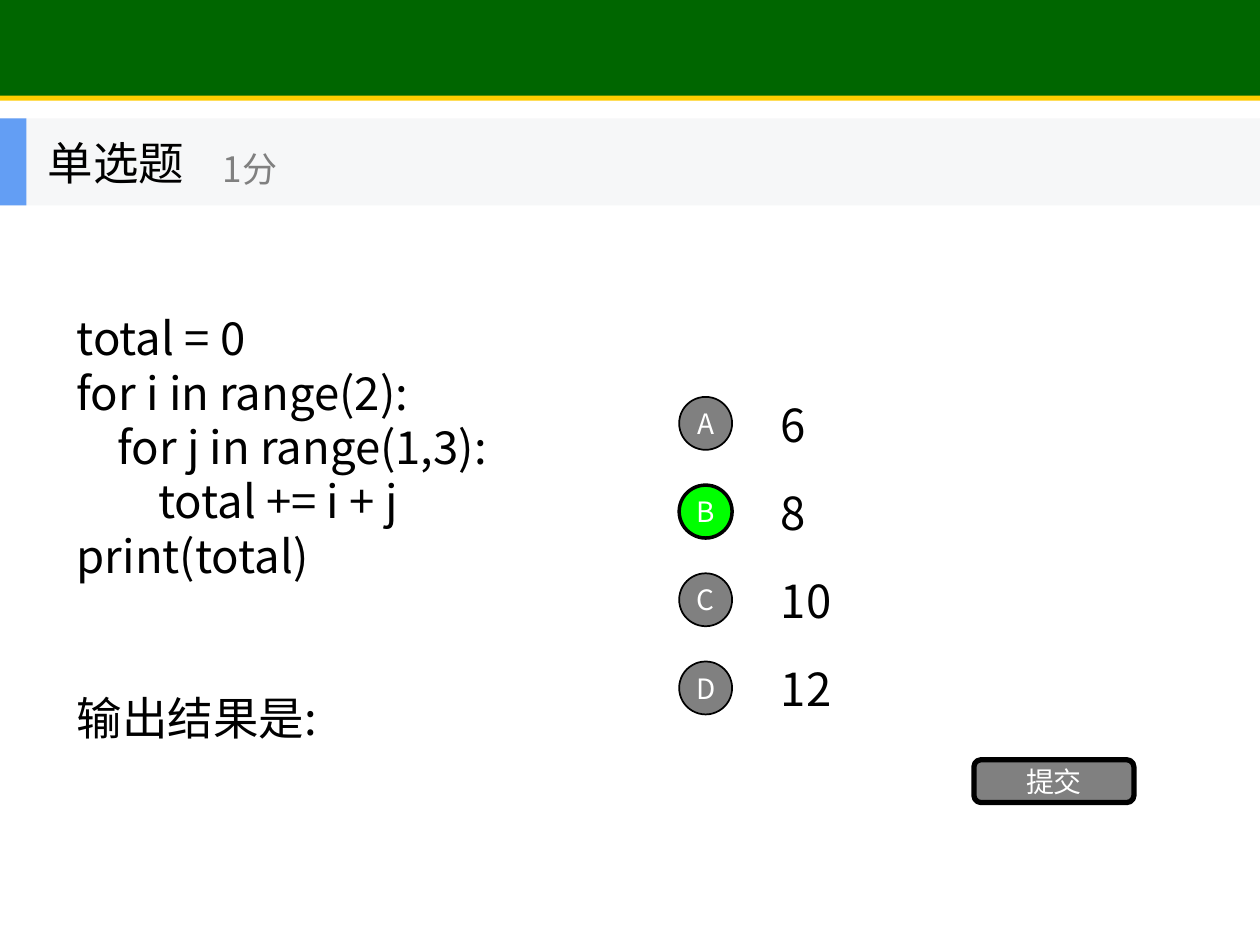
import dataclasses

import lxml.etree
import pptx
import pptx.dml.color
import pptx.enum.shapes
import pptx.enum.text
import pptx.oxml.ns
import pptx.util

Inches = pptx.util.Inches
Pt = pptx.util.Pt
Shape = pptx.enum.shapes.MSO_SHAPE
Align = pptx.enum.text.PP_ALIGN


@dataclasses.dataclass(frozen=True)
class Theme:
    font: str = "Noto Sans CJK SC"
    body: int = 26
    points: int = 20
    button: int = 16
    code_line: int = 31
    black: str = "000000"
    white: str = "FFFFFF"
    gray: str = "808080"
    correct: str = "00FF00"
    header: str = "006600"
    rule: str = "FFCC00"
    title_band: str = "F6F7F8"
    title_accent: str = "639EF4"


class QuizSlide:
    """Holds the theme and the current slide."""

    def __init__(self, theme, slide):
        self.theme = theme
        self.slide = slide

    def color(self, value):
        return pptx.dml.color.RGBColor.from_string(value)

    def fill_text(self, shape, lines, size, color, align=Align.LEFT, frame_format=None):
        frame = shape.text_frame
        frame_values = {
            "word_wrap": True,
            "vertical_anchor": pptx.enum.text.MSO_ANCHOR.MIDDLE,
            **(frame_format or {}),
        }
        for name, value in frame_values.items():
            setattr(frame, name, value)
        frame.text = "\n".join(lines)
        for paragraph in frame.paragraphs:
            paragraph.alignment = align
            for run in paragraph.runs:
                font_values = {"size": Pt(size), "name": self.theme.font}
                for name, value in font_values.items():
                    setattr(run.font, name, value)
                run.font.color.rgb = self.color(color)
                east_asian = lxml.etree.SubElement(
                    run.font._element, pptx.oxml.ns.qn("a:ea"))
                east_asian.set("typeface", self.theme.font)
        return frame

    def text(self, box, lines, size, color, frame_format=None):
        shape = self.slide.shapes.add_textbox(*map(Inches, box))
        return self.fill_text(shape, lines, size, color, frame_format=frame_format)

    def block(self, box, fill, kind=Shape.RECTANGLE):
        shape = self.slide.shapes.add_shape(kind, *map(Inches, box))
        shape.shadow.inherit = False
        shape.fill.solid()
        shape.fill.fore_color.rgb = self.color(fill)
        shape.line.fill.background()
        return shape

    def button(self, box, label, kind, fill, line_width):
        shape = self.block(box, fill, kind)
        shape.line.color.rgb = self.color(self.theme.black)
        shape.line.width = Pt(line_width)
        margins = ("margin_left", "margin_right", "margin_top", "margin_bottom")
        self.fill_text(shape, [label], self.theme.button, self.theme.white,
                       Align.CENTER, dict.fromkeys(margins, 0))


def main():
    theme = Theme()
    presentation = pptx.Presentation()
    presentation.slide_width = Inches(10)
    presentation.slide_height = Inches(7.5)
    slide = presentation.slides.add_slide(presentation.slide_layouts[6])
    quiz = QuizSlide(theme, slide)

    # Header
    quiz.block((0, 0, 10, 0.79), theme.header)
    quiz.block((0, 0.76, 10, 0.04), theme.rule)

    # Question: code, then the prompt two lines further down
    question = quiz.text(
        (0.51, 3.5, 4.41, 1.76),
        ["total = 0",
         "for i in range(2):",
         "    for j in range(1,3):",
         "        total += i + j",
         "print(total)",
         "输出结果是:"],
        theme.body, theme.black, {"margin_bottom": Inches(0.43)})
    for paragraph in question.paragraphs:
        paragraph.line_spacing = Pt(theme.code_line)
    question.paragraphs[-1].space_before = Pt(2 * theme.code_line)

    # Answer options
    first_top, pitch = 3.1, 0.7
    for index, (letter, answer) in enumerate(zip("ABCD", ["6", "8", "10", "12"])):
        top = first_top + index * pitch
        is_correct = letter == "B"
        quiz.text((6.1, top, 7, 0.53), [answer], theme.body, theme.black)
        quiz.button((5.39, top + 0.05, 0.42, 0.42), letter, Shape.OVAL,
                    theme.correct if is_correct else theme.gray,
                    2 if is_correct else 1)

    # Submit button
    quiz.button((7.73, 6.03, 1.27, 0.34), "提交", Shape.ROUNDED_RECTANGLE,
                theme.gray, 3)

    # Title band
    quiz.block((0, 0.94, 10, 0.69), theme.title_band)
    quiz.block((0, 0.94, 0.21, 0.69), theme.title_accent)
    quiz.text((0.28, 0.94, 2.08, 0.69), ["单选题"], theme.body, theme.black)
    quiz.text((1.67, 1.06, 2.5, 0.56), ["1分"], theme.points, theme.gray)

    presentation.save("out.pptx")


if __name__ == "__main__":
    main()
